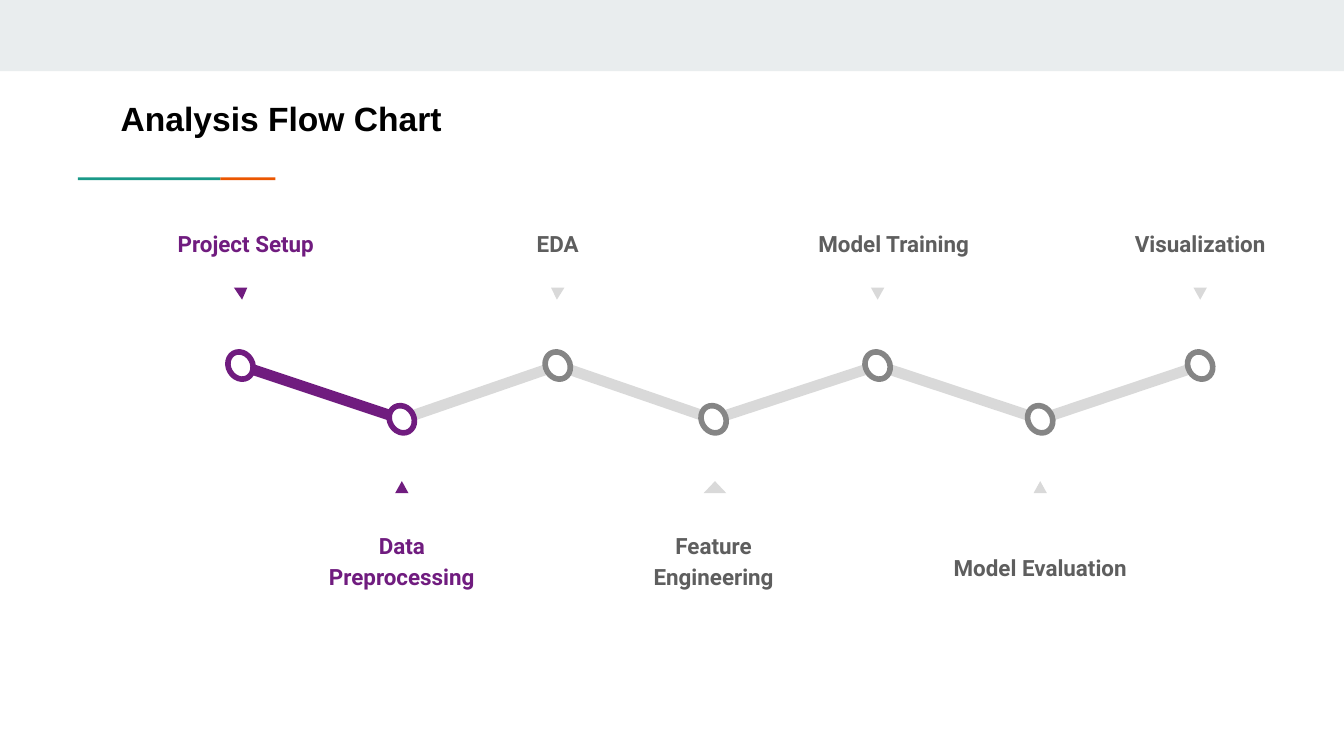
from dataclasses import dataclass
from itertools import pairwise
from math import atan2, degrees

from pptx import Presentation
from pptx.dml.color import RGBColor
from pptx.enum.shapes import MSO_SHAPE as Shape
from pptx.enum.text import MSO_ANCHOR as Anchor, PP_ALIGN as Align
from pptx.util import Inches, Pt

COLORS = {
    "band": "E9EDEE", "teal": "1A9988", "orange": "EB5600",
    "title": "000000", "white": "FFFFFF", "active": "701C7F",
    "label": "5E5E5E", "ring": "858585", "track": "D9D9D9",
}


@dataclass
class Step:
    name: str
    x: float
    label_width: float
    label_height: float = 0.4
    label_shift: float = 0
    label_drop: float = 0
    marker_width: float = 0.1
    marker_shift: float = 0
    marker_tip: float = 0.5
    active: bool = False

    def color(self, role):
        return "active" if self.active else role


STEPS = [
    Step("Project Setup", 0.63, 1.34, 0.86, label_shift=0.04, marker_tip=0.39, active=True),
    Step("Data Preprocessing", 1.83, 1.53, 0.64, active=True),
    Step("EDA", 2.99, 0.8, marker_tip=0.57),
    Step("Feature Engineering", 4.15, 1.34, 0.64, marker_width=0.17, marker_shift=0.01),
    Step("Model Training", 5.37, 1.91, label_shift=0.12),
    Step("Model Evaluation", 6.58, 1.91, 0.86, label_drop=0.16),
    Step("Visualization", 7.77, 1.38),
]


def rgb(name):
    return RGBColor.from_string(COLORS[name])


def add_filled(slide, kind, left, top, width, height, color, rotation=0):
    shape = slide.shapes.add_shape(kind, Inches(left), Inches(top), Inches(width), Inches(height))
    shape.shadow.inherit = False
    shape.fill.solid()
    shape.fill.fore_color.rgb = rgb(color)
    shape.line.fill.background()
    shape.rotation = rotation
    return shape


def add_text(slide, left, top, width, height, text, font_name, size, color, align=Align.LEFT):
    box = slide.shapes.add_textbox(Inches(left), Inches(top), Inches(width), Inches(height))
    frame = box.text_frame
    frame.word_wrap = True
    frame.vertical_anchor = Anchor.TOP
    frame.margin_left = frame.margin_right = Inches(0.1)
    frame.margin_top = frame.margin_bottom = Inches(0.1)
    frame.text = text
    paragraph = frame.paragraphs[0]
    paragraph.alignment = align
    font = paragraph.runs[0].font
    font.name = font_name
    font.size = Pt(size)
    font.bold = True
    font.color.rgb = rgb(color)
    return paragraph


def add_header(slide, left, top, width):
    add_filled(slide, Shape.RECTANGLE, left, top, width, 0.53, "band")
    add_filled(slide, Shape.RECTANGLE, left + 0.58, top + 1.32, 1.06, 0.02, "teal")
    add_filled(slide, Shape.RECTANGLE, left + 1.64, top + 1.32, 0.41, 0.02, "orange")
    add_text(slide, left + 0.8, top + 0.63, width - 1.59, 0.59,
             "Analysis Flow Chart", "Arial", 18, "title")


def add_segment(slide, start, end, color):
    length, thickness = 1.3, 0.08
    (start_x, start_y), (end_x, end_y) = start, end
    angle = degrees(atan2(end_y - start_y, end_x - start_x))
    segment = add_filled(slide, Shape.ROUNDED_RECTANGLE,
                         (start_x + end_x - length) / 2, (start_y + end_y - thickness) / 2,
                         length, thickness, color, angle)
    segment.adjustments[0] = 0.5


def add_step(slide, step, center, top, is_upper):
    x, y = center
    width, height = 0.18, 0.21
    ring = add_filled(slide, Shape.OVAL, x - width / 2, y - height / 2,
                      width, height, "white", 330)
    ring.line.color.rgb = rgb(step.color("ring"))
    ring.line.width = Pt(3)

    marker_left = x + step.marker_shift - step.marker_width / 2
    marker_top = top + (0.56 if is_upper else 2)
    marker = add_filled(slide, Shape.ISOSCELES_TRIANGLE, marker_left, marker_top,
                        step.marker_width, 0.09, step.color("track"), 180 if is_upper else 0)
    marker.adjustments[0] = step.marker_tip

    label_top = top + (0 if is_upper else 2.25) + step.label_drop
    paragraph = add_text(slide, x + step.label_shift - step.label_width / 2, label_top,
                         step.label_width, step.label_height, step.name,
                         "Roboto", 12, step.color("label"), Align.CENTER)
    paragraph.line_spacing = 1.15


def add_flow(slide, left, top):
    upper_y, lower_y = top + 1.14, top + 1.54
    centers = [(left + step.x, lower_y if index % 2 else upper_y)
               for index, step in enumerate(STEPS)]
    links = list(zip(pairwise(centers), STEPS[1:]))
    for (start, end), target in reversed(links):
        add_segment(slide, start, end, target.color("track"))
    for index, (step, center) in enumerate(zip(STEPS, centers)):
        add_step(slide, step, center, top, index % 2 == 0)


def main():
    presentation = Presentation()
    presentation.slide_width = Inches(10)
    presentation.slide_height = Inches(10 * 9 / 16)
    slide = presentation.slides.add_slide(presentation.slide_layouts[6])
    add_header(slide, 0, 0, 10)
    add_flow(slide, 1.16, 1.58)
    presentation.save("out.pptx")


if __name__ == "__main__":
    main()
